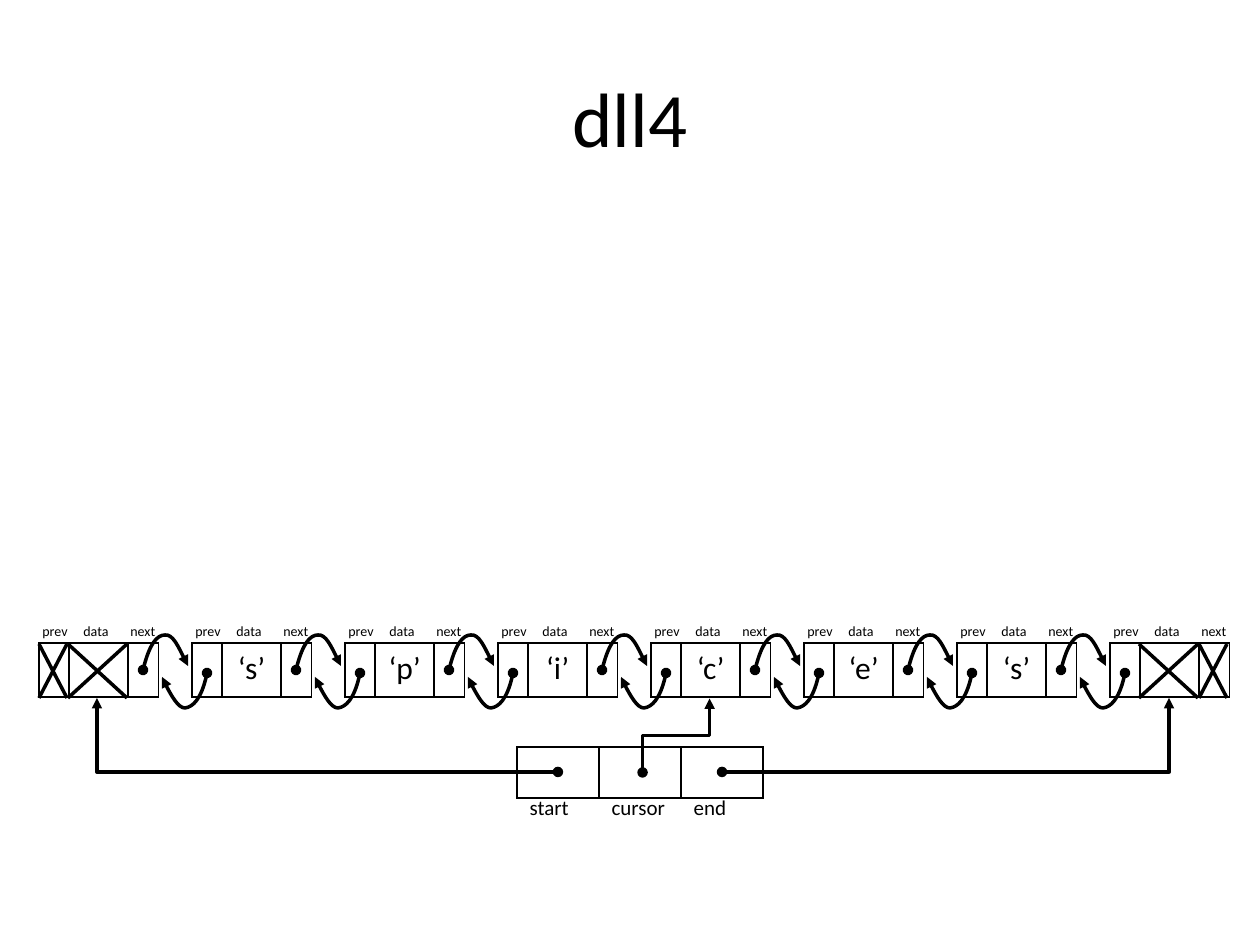
from lxml import etree
from pptx import Presentation, util as u
from pptx.dml.color import RGBColor
from pptx.enum import shapes, text
from pptx.oxml import parse_xml
from pptx.oxml.ns import nsdecls, qn

PX = 914400 / 126
INK, PAPER = "000000", "FFFFFF"


def paint(fill, hue):
    fill.solid()
    fill.fore_color.rgb = RGBColor.from_string(hue)


def stroke(item, tips):
    """Black 2 pt line, without shadow, with a dot and an arrowhead if asked."""
    paint(item.line.fill, INK)
    item.line.width = u.Pt(2)
    props = item._element.spPr
    etree.SubElement(props, qn("a:effectLst"))
    if tips:
        line = props.find(qn("a:ln"))
        etree.SubElement(line, qn("a:headEnd"), type="oval")
        etree.SubElement(line, qn("a:tailEnd"), type="triangle")


deck = Presentation()
deck.slide_width, deck.slide_height = u.Inches(10), u.Inches(7.5)
slide = deck.slides.add_slide(deck.slide_layouts[6])
board = slide.shapes

# Nodes, 153 px apart; an empty string is an end mark
PITCH, LEFT, TOP = 153, 39, 643
words = ["", "‘s’", "‘p’", "‘i’", "‘c’", "‘e’", "‘s’", ""]
nodes = [LEFT + PITCH * i for i in range(len(words))]

# Tables: left, top, height, columns, cell texts, size, alignment, boxed
mid = text.PP_ALIGN.CENTER
grids = [(517, 747, 51, [82, 82, 82], ["", "", ""], 18, mid, True)]
grids += [(x, TOP, 54, [30, 59, 30], ["", word, ""], 18, mid, True)
          for x, word in zip(nodes, words)]
grids.append((517, 789, 51, [82, 82, 82], ["start", "cursor", "end"], 12,
              text.PP_ALIGN.LEFT, False))

for x, y, high, cols, cells, size, align, boxed in grids:
    box = [round(v * PX) for v in (x, y, sum(cols), high)]
    table = board.add_table(1, len(cols), *box).table
    table.first_row = table.horz_banding = False
    for i, wide in enumerate(cols):
        table.columns[i].width = round(wide * PX)
        cell = table.cell(0, i)
        if boxed:
            paint(cell.fill, PAPER)
            edge = f'<a:solidFill><a:srgbClr val="{INK}"/></a:solidFill>'
        else:
            cell.fill.background()
            edge = "<a:noFill/>"
        props = cell._tc.get_or_add_tcPr()
        for n, side in enumerate("LRTB"):
            props.insert(n, parse_xml(
                f'<a:ln{side} {nsdecls("a")} w="12700">{edge}</a:ln{side}>'))
        if cells[i]:
            cell.text = cells[i]
            para = cell.text_frame.paragraphs[0]
            para.alignment = align
            para.font.size, para.font.name = u.Pt(size), "Calibri"
            para.font.color.rgb = RGBColor.from_string(INK)

# Field names above the nodes, then the title
notes = [(x + dx, 616, 52, 30, name, 8) for x in nodes
         for dx, name in ((-9, "prev"), (32, "data"), (79, "next"))]
notes.append((63, 38, 1134, 157, "dll4", 44))
for x, y, wide, high, name, size in notes:
    frame = board.add_textbox(*[round(v * PX) for v in (x, y, wide, high)]).text_frame
    frame.text = name
    para = frame.paragraphs[0]
    para.font.size, para.font.name = u.Pt(size), "Calibri"
    para.font.color.rgb = RGBColor.from_string(INK)
    if size == 44:
        frame.word_wrap = True
        frame.vertical_anchor = text.MSO_ANCHOR.MIDDLE
        para.alignment = mid
    else:
        frame.word_wrap = False
        frame.auto_size = text.MSO_AUTO_SIZE.SHAPE_TO_FIT_TEXT

# Curved links: start point, then two Bézier segments of three points each
ahead = [(104, 670), (110, 645), (118, 635), (126, 635),
         (134, 634), (145, 658), (149, 666)]
back = [(168, 673), (163, 698), (154, 707), (146, 708),
        (139, 708), (126, 685), (123, 677)]
for x in nodes[:-1]:
    for curve in (back, ahead):
        dots = [(x + dx, y) for dx, y in curve]
        pen = board.build_freeform(*dots[0], scale=PX)
        pen.add_line_segments(dots[1:], close=False)
        link = pen.convert_to_shape()
        link.fill.background()
        stroke(link, True)
        route = link._element.find(".//" + qn("a:path"))
        steps = route.findall(qn("a:lnTo"))
        for n in (0, 3):
            bend = etree.SubElement(route, qn("a:cubicBezTo"))
            for step in steps[n:n + 3]:
                bend.append(step[0])
                route.remove(step)

# Crosses over the unused fields
for x, wide in ((39, 28), (68, 59), (1139, 59), (1199, 28)):
    for start, end in ((x, x + wide), (x + wide, x)):
        ends = [round(v * PX) for v in (start, 698, end, 644)]
        stroke(board.add_connector(shapes.MSO_CONNECTOR.STRAIGHT, *ends), False)

# Elbow pointers from start, end and cursor; the last one is turned upright
for ends, kind, turn in (((558, 772, 97, 698), "bentConnector2", 0),
                         ((722, 772, 1169, 698), "bentConnector2", 0),
                         ((713, 769, 639, 702), "bentConnector3", 90)):
    arm = board.add_connector(shapes.MSO_CONNECTOR.ELBOW,
                              *[round(v * PX) for v in ends])
    stroke(arm, True)
    props = arm._element.spPr
    props.find(qn("a:prstGeom")).set("prst", kind)
    if turn:
        props.find(qn("a:xfrm")).set("rot", str(turn * 60000))

deck.save("out.pptx")
